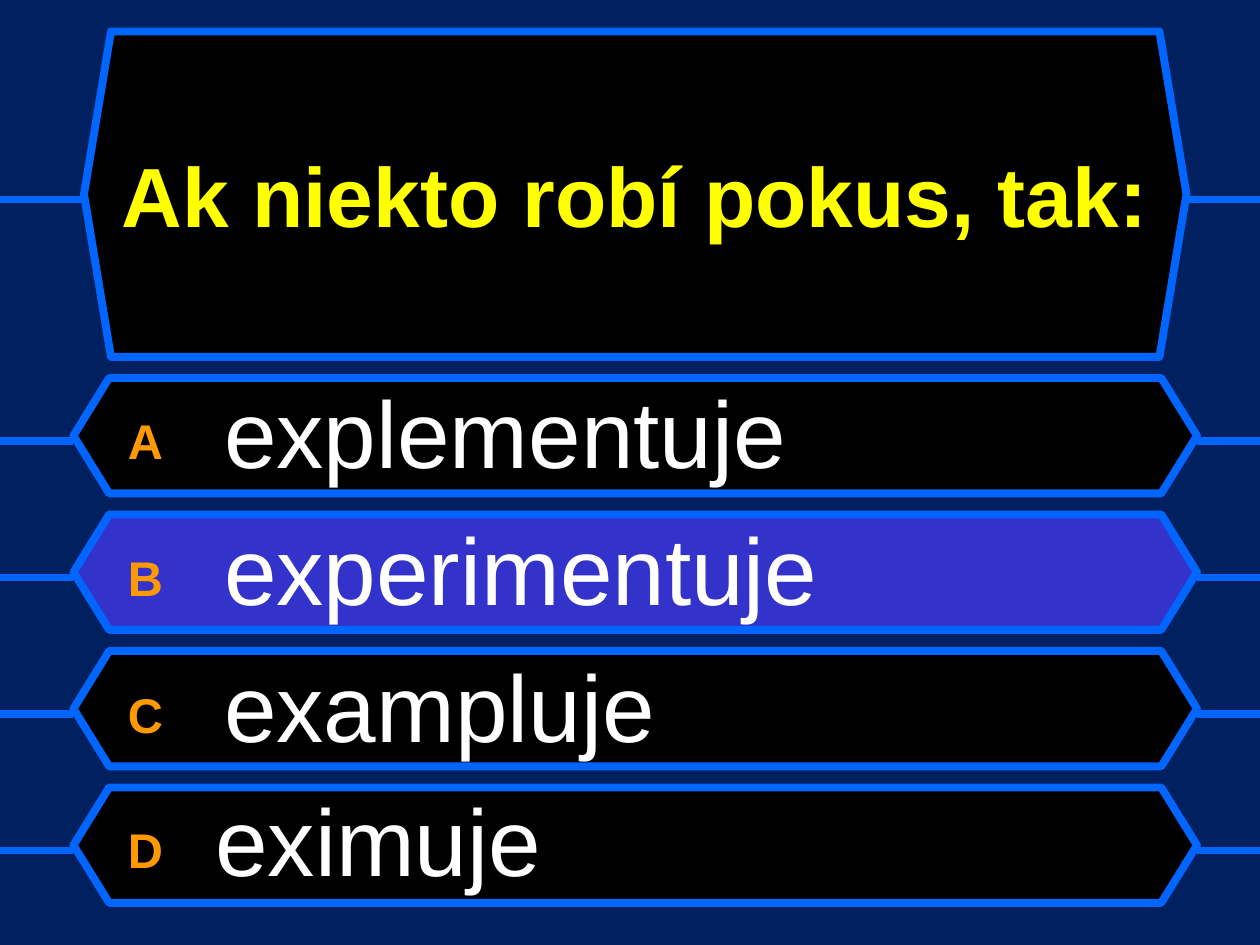
from lxml.etree import SubElement
from pptx import Presentation
from pptx.dml.color import RGBColor
from pptx.enum.shapes import MSO_CONNECTOR, MSO_SHAPE
from pptx.enum.text import MSO_ANCHOR, PP_ALIGN
from pptx.oxml.ns import qn
from pptx.util import Pt

NAVY = RGBColor(0x00, 0x20, 0x60)
BLUE = RGBColor(0x00, 0x66, 0xFF)
BLACK = RGBColor(0x00, 0x00, 0x00)
INDIGO = RGBColor(0x33, 0x33, 0xCC)
YELLOW = RGBColor(0xFF, 0xFF, 0x00)
ORANGE = RGBColor(0xFF, 0x99, 0x00)
WHITE = RGBColor(0xFF, 0xFF, 0xFF)

WIDTH, HEIGHT = 720, 540
ROW_TOP, ROW_PITCH = 216, 78
# letter, answer, panel fill, space before, text indent
ANSWERS = [
    ("A", "explementuje", BLACK, 0, 55),
    ("B", "experimentuje", INDIGO, 13.5, 55),
    ("C", "exampluje", BLACK, 13.5, 55),
    ("D", "eximuje", BLACK, 12, 50),
]


class QuizSlide:
    font = "Arial"
    line_width = 4.5

    def __init__(self, prs):
        self.s = prs.slides.add_slide(prs.slide_layouts[6])
        fill = self.s.background.fill
        fill.solid()
        fill.fore_color.rgb = NAVY

    def panel(self, x, y, w, h, point, color):
        sp = self.s.shapes.add_shape(MSO_SHAPE.HEXAGON, Pt(x), Pt(y), Pt(w), Pt(h))
        sp.adjustments[0] = point
        sp.shadow.inherit = False
        sp.fill.solid()
        sp.fill.fore_color.rgb = color
        sp.line.color.rgb = BLUE
        sp.line.width = Pt(self.line_width)

    def wire(self, x1, x2, y):
        line = self.s.shapes.add_connector(
            MSO_CONNECTOR.STRAIGHT, Pt(x1), Pt(y), Pt(x2), Pt(y))
        line.line.color.rgb = BLUE
        line.line.width = Pt(self.line_width)
        SubElement(line._element.spPr, qn("a:effectLst"))

    def text_box(self, x, y, w, h, anchor=MSO_ANCHOR.TOP):
        tf = self.s.shapes.add_textbox(Pt(x), Pt(y), Pt(w), Pt(h)).text_frame
        tf.word_wrap = True
        tf.vertical_anchor = anchor
        return tf

    def question(self, text, *box):
        p = self.text_box(*box, anchor=MSO_ANCHOR.MIDDLE).paragraphs[0]
        p.text = text
        p.alignment = PP_ALIGN.CENTER
        p.font.name, p.font.size, p.font.bold = self.font, Pt(48), True
        p.font.color.rgb = YELLOW

    def run(self, p, text, size, color, bold=False):
        r = p.add_run()
        r.text = text
        r.font.name, r.font.size, r.font.bold = self.font, Pt(size), bold
        r.font.color.rgb = color
        return r

    def answers(self, rows, *box):
        tf = self.text_box(*box)
        for i, (letter, answer, _, before, indent) in enumerate(rows):
            p = tf.add_paragraph() if i else tf.paragraphs[0]
            p.space_before = Pt(before)
            # The hanging indent is the stop for the tab after the letter
            pPr = p._p.get_or_add_pPr()
            pPr.set("marL", str(Pt(indent)))
            pPr.set("indent", str(-Pt(indent)))
            r = self.run(p, letter, 48, ORANGE, bold=True)
            r.font._element.set("baseline", "10000")
            self.run(p, "\t" + answer, 54, WHITE)


def main():
    prs = Presentation()
    prs.slide_width, prs.slide_height = Pt(WIDTH), Pt(HEIGHT)
    quiz = QuizSlide(prs)

    # Panels
    for i, (_, _, color, _, _) in enumerate(ANSWERS):
        quiz.panel(42, ROW_TOP + i * ROW_PITCH, 642, 66, 0.309, color)
    quiz.panel(48, 18, 630, 186, 0.083, BLACK)

    # Texts
    quiz.question("Ak niekto robí pokus, tak:", 60, 30, 606, 162)
    quiz.answers(ANSWERS, 66, 210, 600, 312)

    # Wires from the panels to the slide edges
    wires = [(42, 684, ROW_TOP + 36 + i * ROW_PITCH) for i in range(len(ANSWERS))]
    for left, right, y in wires + [(48, 678, 114)]:
        quiz.wire(left, 0, y)
        quiz.wire(WIDTH, right, y)

    prs.save("out.pptx")


if __name__ == "__main__":
    main()
